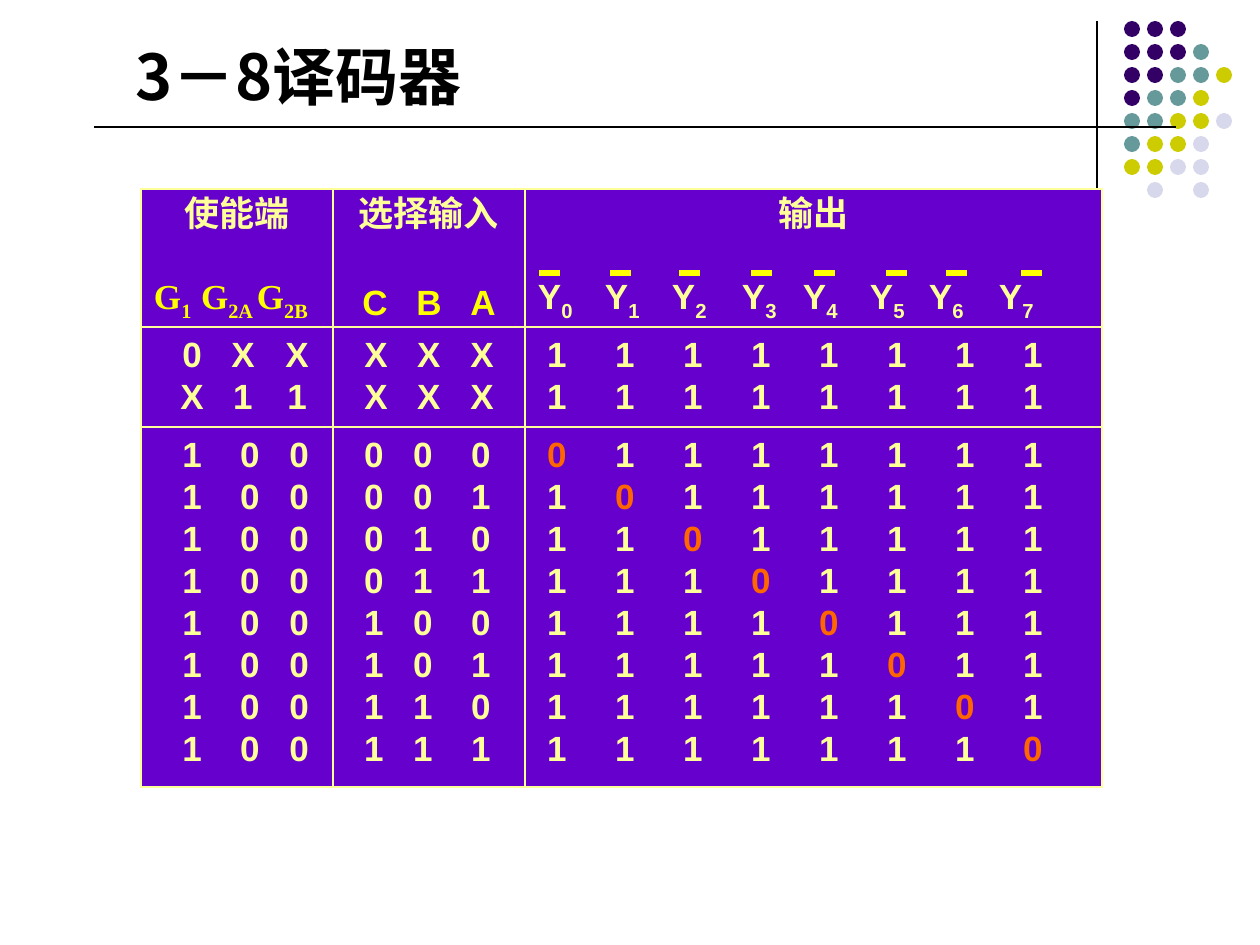
from lxml.etree import SubElement
from pptx import Presentation
from pptx.dml.color import RGBColor
from pptx.enum.shapes import MSO_CONNECTOR, MSO_SHAPE
from pptx.enum.text import MSO_ANCHOR, PP_ALIGN
from pptx.oxml.ns import qn
from pptx.util import Emu, Pt

PX = 914400 // 126
COLORS = {
    "ink": "000000", "purple": "6600CC", "cream": "FFFF99",
    "yellow": "FFFF00", "orange": "FF6600",
    "P": "330066", "T": "669999", "Y": "CCCC00", "L": "D8D8EC",
}
CJK_FONT = "Noto Sans CJK SC"


def style_run(run, size, color, font):
    run.font.size = Pt(size)
    run.font.bold = True
    run.font.name = font
    run.font.color.rgb = RGBColor.from_string(COLORS[color])
    SubElement(run._r.get_or_add_rPr(), qn("a:ea"), typeface=CJK_FONT)


def draw_line(x1, y1, x2, y2, color, width):
    line = slide.shapes.add_connector(
        MSO_CONNECTOR.STRAIGHT, *(Emu(v * PX) for v in (x1, y1, x2, y2)))
    line.line.color.rgb = RGBColor.from_string(COLORS[color])
    line.line.width = Pt(width)
    SubElement(line._element.spPr, qn("a:effectLst"))


prs = Presentation()
prs.slide_width, prs.slide_height = Emu(1260 * PX), Emu(945 * PX)
slide = prs.slides.add_slide(prs.slide_layouts[5])

# Corner decoration
draw_line(1097, 21, 1097, 231, "ink", 0.75)
DOT_ROWS = ["PPP", "PPPT", "PPTTY", "PTTY", "TTYYL", "TYYL", "YYLL", " L L"]
for row, dot_row in enumerate(DOT_ROWS):
    for col, key in enumerate(dot_row):
        if key == " ":
            continue
        dot = slide.shapes.add_shape(
            MSO_SHAPE.OVAL, Emu((1124 + 23 * col) * PX),
            Emu((21 + 23 * row) * PX), Emu(16 * PX), Emu(16 * PX))
        dot.shadow.inherit = False
        dot.fill.solid()
        dot.fill.fore_color.rgb = RGBColor.from_string(COLORS[key])
        dot.line.fill.background()

# Title
title = slide.shapes.title
title.left, title.top = Emu(123 * PX), Emu(20 * PX)
title.width, title.height = Emu(515 * PX), Emu(110 * PX)
title.text_frame.text = "3－8译码器"
title.text_frame.vertical_anchor = MSO_ANCHOR.MIDDLE
heading = title.text_frame.paragraphs[0]
heading.alignment = PP_ALIGN.LEFT
style_run(heading.runs[0], 36, "ink", CJK_FONT)
draw_line(94, 127, 1176, 127, "ink", 0.75)

# Truth table: column groups are enable, select and output
GROUP_TITLES = ["使能端", "选择输入", "输出"]
SIGNALS = [["G1", "G2A", "G2B"], ["C", "B", "A"], [f"Y{n}" for n in range(8)]]
DISABLED = [
    [list("0XX"), list("X11")],
    [list("XXX")] * 2,
    [["1"] * 8] * 2,
]
DECODED = [
    [list("100")] * 8,
    [list(f"{n:03b}") for n in range(8)],
    [["0" if bit == n else "1" for bit in range(8)] for n in range(8)],
]
OUTPUT_STOPS = [32 + 68 * n for n in range(8)]
# Tab stops in px from the left edge of each cell
STOPS = [
    [[13, 60, 116], [42, 96, 150], [13, 80, 147, 217, 278, 345, 404, 474]],
    [[51, 102, 156], [43, 96, 149], OUTPUT_STOPS],
    [[51, 109, 158], [41, 90, 148], OUTPUT_STOPS],
]
SIGNAL_STYLES = [("yellow", "Times New Roman"), ("yellow", "Arial"),
                 ("cream", "Arial")]
COLUMN_WIDTHS = [192, 192, 577]
ROW_HEIGHTS = [138, 100, 360]

table = slide.shapes.add_table(
    3, 3, Emu(141 * PX), Emu(189 * PX),
    Emu(sum(COLUMN_WIDTHS) * PX), Emu(sum(ROW_HEIGHTS) * PX)).table
table.first_row = table.horz_banding = False
for column, width in zip(table.columns, COLUMN_WIDTHS):
    column.width = Emu(width * PX)
for table_row, height in zip(table.rows, ROW_HEIGHTS):
    table_row.height = Emu(height * PX)

for row in range(3):
    for group in range(3):
        cell = table.cell(row, group)
        borders = cell._tc.get_or_add_tcPr()
        for side in ("a:lnL", "a:lnR", "a:lnT", "a:lnB"):
            border = SubElement(borders, qn(side), w=str(Pt(1)))
            border_fill = SubElement(border, qn("a:solidFill"))
            SubElement(border_fill, qn("a:srgbClr"), val=COLORS["cream"])
        cell.fill.solid()
        cell.fill.fore_color.rgb = RGBColor.from_string(COLORS["purple"])
        cell.margin_left = cell.margin_right = cell.margin_bottom = 0
        cell.margin_top = Emu(6 * PX)

        paragraph = cell.text_frame.paragraphs[0]
        color, font = "cream", "Arial"
        if row == 0:
            paragraph.text = GROUP_TITLES[group]
            paragraph.alignment = PP_ALIGN.CENTER
            paragraph.line_spacing = Pt(24)
            style_run(paragraph.runs[0], 20, color, font)
            paragraph = cell.text_frame.add_paragraph()
            paragraph.space_before = Pt(25)
            color, font = SIGNAL_STYLES[group]
        lines = [[SIGNALS[group]], DISABLED[group], DECODED[group]][row]
        for index, entries in enumerate(lines):
            if index:
                paragraph = cell.text_frame.add_paragraph()
            paragraph.line_spacing = Pt(24)
            tabs = SubElement(paragraph._p.get_or_add_pPr(), qn("a:tabLst"))
            stop_kind = "l" if row == 0 and group != 1 else "ctr"
            for stop in STOPS[row][group]:
                SubElement(tabs, qn("a:tab"), pos=str(stop * PX), algn=stop_kind)
            for entry in entries:
                active = (row, group, entry) == (2, 2, "0")
                run = paragraph.add_run()
                run.text = "\t" + entry[0]
                style_run(run, 20, "orange" if active else color, font)
                if entry[1:]:
                    subscript = paragraph.add_run()
                    subscript.text = entry[1:]
                    style_run(subscript, 20, color, font)
                    subscript._r.get_or_add_rPr().set("baseline", "-25000")

# Bars over the active-low outputs
for left in (539, 610, 679, 751, 814, 886, 946, 1021):
    draw_line(left, 273, left + 21, 273, "yellow", 3)

prs.save("out.pptx")
